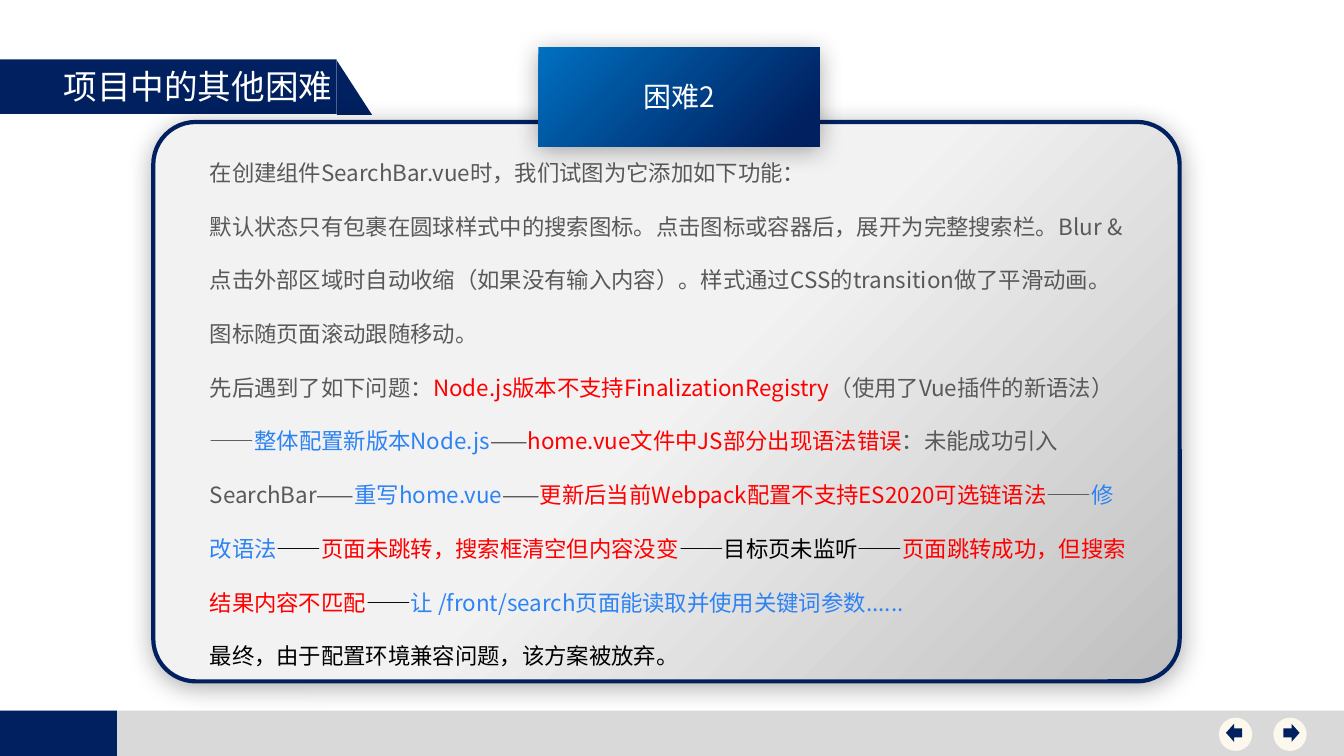
import pptx
import pptx.util
import pptx.dml.color
import pptx.enum.shapes
import pptx.enum.text
import pptx.oxml
import pptx.oxml.ns

Inches = pptx.util.Inches
Pt = pptx.util.Pt
Shape = pptx.enum.shapes.MSO_SHAPE
Align = pptx.enum.text.PP_ALIGN
Anchor = pptx.enum.text.MSO_ANCHOR

FONT = "Noto Sans CJK SC"
NAVY, WHITE, CREAM, SILVER = "002060", "FFFFFF", "FCF8ED", "D9D9D9"
GRAY, RED, BLUE, BLACK = "595959", "FF0000", "2D83F4", "000000"

TITLE = "项目中的其他困难"
LABEL = "困难2"
STORY = [
    [("在创建组件SearchBar.vue时，我们试图为它添加如下功能：", GRAY)],
    [("默认状态只有包裹在圆球样式中的搜索图标。点击图标或容器后，展开为完整搜索栏。"
      "Blur &点击外部区域时自动收缩（如果没有输入内容）。"
      "样式通过CSS的transition做了平滑动画。图标随页面滚动跟随移动。", GRAY)],
    [("先后遇到了如下问题：", GRAY),
     ("Node.js版本不支持FinalizationRegistry", RED),
     ("（使用了Vue插件的新语法）——", GRAY),
     ("整体配置新版本Node.js", BLUE),
     ("——", GRAY),
     ("home.vue文件中JS部分出现语法错误", RED),
     ("：未能成功引入SearchBar——", GRAY),
     ("重写home.vue", BLUE),
     ("——", GRAY),
     ("更新后当前Webpack配置不支持ES2020可选链语法", RED),
     ("——", GRAY),
     ("修改语法", BLUE),
     ("——", BLACK),
     ("页面未跳转，搜索框清空但内容没变", RED),
     ("——目标页未监听——", BLACK),
     ("页面跳转成功，但搜索结果内容不匹配", RED),
     ("——", BLACK),
     ("让 /front/search页面能读取并使用关键词参数......", BLUE)],
    [("最终，由于配置环境兼容问题，该方案被放弃。", BLACK)],
]

# Each button: left edge of its disc, arrow shape, left edge of its arrow
BUTTONS = [(12.63, Shape.RIGHT_ARROW, 12.73), (12.09, Shape.LEFT_ARROW, 12.16)]


def color(code):
    return pptx.dml.color.RGBColor.from_string(code)


def add_block(page, kind, left, top, width, height, fill=None):
    block = page.shapes.add_shape(kind, Inches(left), Inches(top), Inches(width), Inches(height))
    block.shadow.inherit = False
    block.line.fill.background()
    if fill:
        block.fill.solid()
        block.fill.fore_color.rgb = color(fill)
    return block


def set_gradient(block, stops):
    block.fill.gradient()
    block.fill.gradient_angle = 315
    for stop, (position, code) in zip(block.fill.gradient_stops, stops):
        stop.position = position
        stop.color.rgb = color(code)


def add_soft_shadow(block):
    effects = block._element.spPr.find(pptx.oxml.ns.qn("a:effectLst"))
    effects.append(pptx.oxml.parse_xml(
        f'<a:outerShdw {pptx.oxml.ns.nsdecls("a")} blurRad="{Pt(17.8)}" dist="{Pt(3)}" '
        f'dir="{87 * 60000}" algn="t" rotWithShape="0">'
        '<a:srgbClr val="000000"><a:alpha val="33000"/></a:srgbClr></a:outerShdw>'))


def add_span(para, text, size, code):
    span = para.add_run()
    span.text = text
    span.font.size = Pt(size)
    span.font.name = FONT
    span.font.color.rgb = color(code)
    east_asian = pptx.oxml.parse_xml(
        f'<a:ea {pptx.oxml.ns.nsdecls("a")} typeface="{FONT}"/>')
    span.font._element.find(pptx.oxml.ns.qn("a:latin")).addnext(east_asian)


def place(page, box, left, top, width, height, anchor):
    """Move a placeholder and bring it to the front."""
    box.left, box.top, box.width, box.height = map(Inches, (left, top, width, height))
    box.text_frame.word_wrap = True
    box.text_frame.auto_size = pptx.enum.text.MSO_AUTO_SIZE.NONE
    box.text_frame.vertical_anchor = anchor
    page.shapes._spTree.append(box._element)


def fill_story(frame):
    for index, spans in enumerate(STORY):
        para = frame.add_paragraph() if index else frame.paragraphs[0]
        para.line_spacing = 2.0
        para.space_before = Pt(0)
        settings = para._p.get_or_add_pPr()
        settings.set("marL", "0")
        settings.set("indent", "0")
        settings.append(pptx.oxml.parse_xml(f'<a:buNone {pptx.oxml.ns.nsdecls("a")}/>'))
        for text, code in spans:
            add_span(para, text, 16, code)


def main():
    deck = pptx.Presentation()
    deck.slide_width, deck.slide_height = Inches(13.33), Inches(7.5)
    page = deck.slides.add_slide(deck.slide_layouts[1])
    title, story = page.placeholders[0], page.placeholders[1]

    add_block(page, Shape.RECTANGLE, 0, 7.05, 13.33, 0.45, SILVER)
    add_block(page, Shape.RECTANGLE, 0, 7.05, 1.16, 0.45, NAVY)
    add_block(page, Shape.RECTANGLE, 0, 0.59, 3.34, 0.54, NAVY)
    add_block(page, Shape.RIGHT_TRIANGLE, 3.34, 0.6, 0.35, 0.54, NAVY)
    for disc_left, arrow, arrow_left in BUTTONS:
        add_block(page, Shape.OVAL, disc_left, 7.12, 0.33, 0.33, CREAM)
        add_block(page, arrow, arrow_left, 7.18, 0.16, 0.18, NAVY)

    panel = add_block(page, Shape.ROUNDED_RECTANGLE, 1.52, 1.21, 10.18, 5.55)
    panel.adjustments[0] = 0.076
    set_gradient(panel, [(0.5, "F2F2F2"), (1, "BFBFBF")])
    panel.line.color.rgb = color(NAVY)
    panel.line.width = Pt(3)
    add_soft_shadow(panel)

    place(page, story, 1.98, 1.26, 9.31, 4.5, Anchor.TOP)
    fill_story(story.text_frame)

    label = add_block(page, Shape.RECTANGLE, 5.34, 0.47, 2.79, 0.98)
    set_gradient(label, [(0, "0070C0"), (0.9, NAVY)])
    add_soft_shadow(label)
    label.text_frame.vertical_anchor = Anchor.MIDDLE
    label_para = label.text_frame.paragraphs[0]
    label_para.alignment = Align.CENTER
    add_span(label_para, LABEL, 20, WHITE)

    place(page, title, 0.53, 0.6, 2.99, 0.5, Anchor.TOP)
    title_para = title.text_frame.paragraphs[0]
    title_para.alignment = Align.LEFT
    add_span(title_para, TITLE, 24, WHITE)

    deck.save("out.pptx")


if __name__ == "__main__":
    main()
